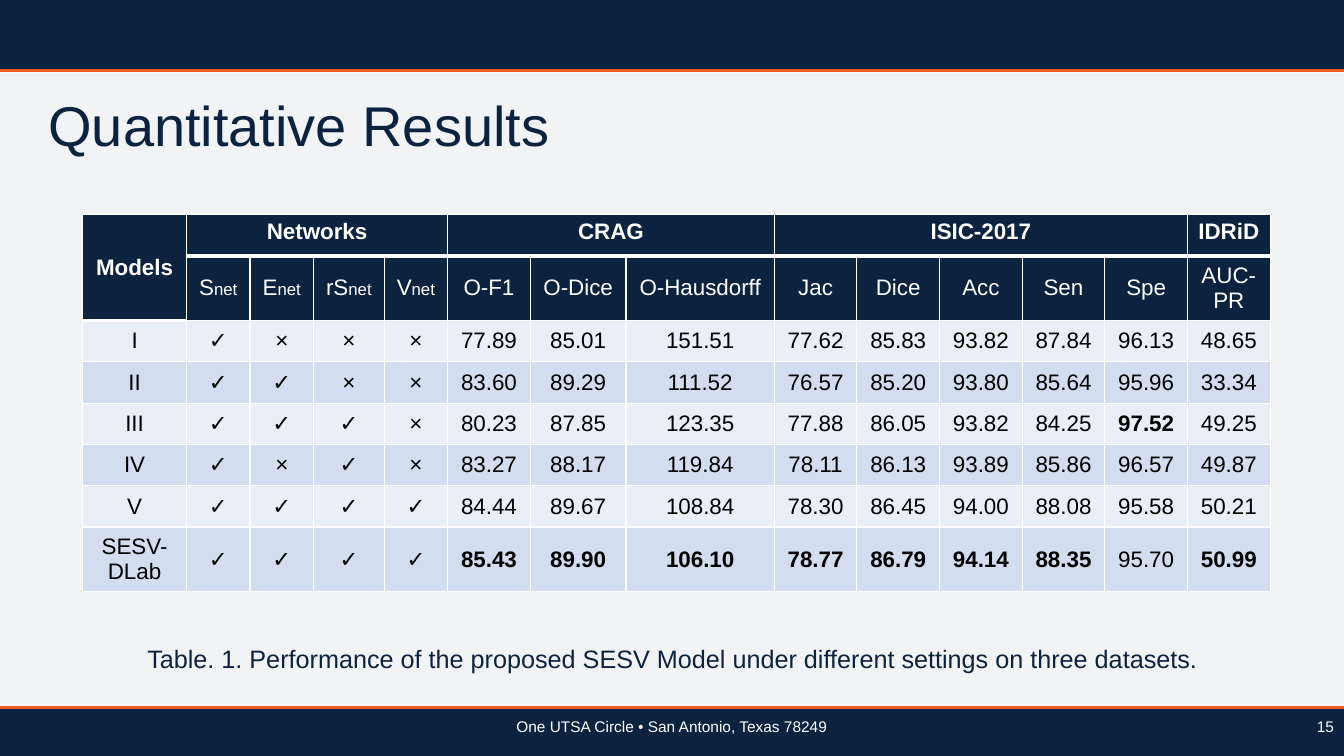
from dataclasses import dataclass
from lxml.etree import SubElement
from pptx import Presentation
from pptx.dml.color import RGBColor
from pptx.enum.shapes import MSO_CONNECTOR, MSO_SHAPE
from pptx.enum.text import MSO_ANCHOR, PP_ALIGN
from pptx.oxml.ns import qn
from pptx.util import Inches, Pt

TITLE = "Quantitative Results"
CAPTION = "Table. 1. Performance of the proposed SESV Model under different settings on three datasets."
ADDRESS = "One UTSA Circle • San Antonio, Texas 78249"
NUMBER = "15"
GROUPS = [("Models", 1), ("Networks", 4), ("CRAG", 3), ("ISIC-2017", 5), ("IDRiD", 1)]
NETWORKS = ["S", "E", "rS", "V"]
METRICS = ["O-F1", "O-Dice", "O-Hausdorff", "Jac", "Dice", "Acc", "Sen", "Spe", "AUC-PR"]
LOWER_IS_BETTER = "O-Hausdorff"
RESULTS = [
    ("I", "✓×××", "77.89 85.01 151.51 77.62 85.83 93.82 87.84 96.13 48.65"),
    ("II", "✓✓××", "83.60 89.29 111.52 76.57 85.20 93.80 85.64 95.96 33.34"),
    ("III", "✓✓✓×", "80.23 87.85 123.35 77.88 86.05 93.82 84.25 97.52 49.25"),
    ("IV", "✓×✓×", "83.27 88.17 119.84 78.11 86.13 93.89 85.86 96.57 49.87"),
    ("V", "✓✓✓✓", "84.44 89.67 108.84 78.30 86.45 94.00 88.08 95.58 50.21"),
    ("SESV-DLab", "✓✓✓✓", "85.43 89.90 106.10 78.77 86.79 94.14 88.35 95.70 50.99"),
]
COL_WIDTHS = [1.03, 0.63, 0.63, 0.7, 0.63, 0.82, 0.95, 1.47] + [0.82] * 6
ROW_HEIGHT, TALL_ROW = 0.41, 0.64
WIDTH, HEIGHT = 13.33, 7.5


@dataclass(frozen=True)
class Theme:
    font: str = "Arial"
    navy: str = "0C2340"
    title_navy: str = "0B2340"
    orange: str = "F15A22"
    white: str = "FFFFFF"
    black: str = "000000"
    bands: tuple = ("EAEFF7", "D2DEEF")
    title: int = 40
    caption: int = 18
    cell: int = 16
    suffix: int = 12
    footer: int = 11


T = Theme()


def add_run(p, text, size, color, bold=False):
    r = p.add_run()
    r.text = text
    r.font.name, r.font.size, r.font.bold = T.font, Pt(size), bold
    r.font.color.rgb = RGBColor.from_string(color)


def add_text(s, box, text, size, color, align, spacing=None):
    tf = s.shapes.add_textbox(*map(Inches, box)).text_frame
    tf.word_wrap = True
    p = tf.paragraphs[0]
    p.alignment, p.line_spacing = align, spacing
    add_run(p, text, size, color)


def add_band(s, top, height, opacity=None):
    sp = s.shapes.add_shape(MSO_SHAPE.RECTANGLE, 0, Inches(top), Inches(WIDTH), Inches(height))
    sp.shadow.inherit = False
    sp.fill.solid()
    sp.fill.fore_color.rgb = RGBColor.from_string(T.navy)
    sp.line.fill.background()
    if opacity:
        color = sp.element.spPr.find(qn("a:solidFill"))[0]
        SubElement(color, qn("a:alpha"), val=str(opacity * 1000))


def add_rule(s, y):
    line = s.shapes.add_connector(MSO_CONNECTOR.STRAIGHT, 0, Inches(y), Inches(WIDTH), Inches(y))
    line.line.color.rgb = RGBColor.from_string(T.orange)
    line.line.width = Pt(2)
    SubElement(line.element.spPr, qn("a:effectLst"))


def style_cell(cell, fill, bottom=1, anchor=MSO_ANCHOR.MIDDLE):
    cell.vertical_anchor = anchor
    tc_pr = cell._tc.get_or_add_tcPr()
    for side, width in zip("LRTB", (1, 1, 1, bottom)):
        ln = SubElement(tc_pr, qn(f"a:ln{side}"), w=str(Pt(width)))
        SubElement(SubElement(ln, qn("a:solidFill")), qn("a:srgbClr"), val=T.white)
    cell.fill.solid()
    cell.fill.fore_color.rgb = RGBColor.from_string(fill)


def write_cell(cell, text, color, bold=False, suffix=""):
    p = cell.text_frame.paragraphs[0]
    p.alignment = PP_ALIGN.CENTER
    add_run(p, text, T.cell, color, bold)
    if suffix:
        add_run(p, suffix, T.suffix, color)


def add_results_table(s):
    heights = [ROW_HEIGHT, TALL_ROW] + [ROW_HEIGHT] * (len(RESULTS) - 1) + [TALL_ROW]
    table = s.shapes.add_table(len(heights), len(COL_WIDTHS), Inches(0.82), Inches(2.13),
                               Inches(sum(COL_WIDTHS)), Inches(sum(heights))).table
    for column, width in zip(table.columns, COL_WIDTHS):
        column.width = Inches(width)
    for row, height in zip(table.rows, heights):
        row.height = Inches(height)

    for col in range(len(COL_WIDTHS)):
        style_cell(table.cell(0, col), T.navy, 3, MSO_ANCHOR.TOP if col else MSO_ANCHOR.MIDDLE)
        style_cell(table.cell(1, col), T.navy, 1 if col else 3)
    col = 0
    for name, span in GROUPS:
        write_cell(table.cell(0, col), name, T.white, bold=True)
        if span > 1:
            table.cell(0, col).merge(table.cell(0, col + span - 1))
        col += span
    table.cell(0, 0).merge(table.cell(1, 0))
    for col, name in enumerate(NETWORKS + METRICS, 1):
        write_cell(table.cell(1, col), name, T.white, suffix="net" if name in NETWORKS else "")

    scores = [values.split() for _, _, values in RESULTS]
    best = [(min if name == LOWER_IS_BETTER else max)(column, key=float)
            for name, column in zip(METRICS, zip(*scores))]
    for i, (model, marks, _) in enumerate(RESULTS):
        texts = [(text, False) for text in [model, *marks]]
        texts += [(score, score == top) for score, top in zip(scores[i], best)]
        for col, (text, bold) in enumerate(texts):
            cell = table.cell(i + 2, col)
            style_cell(cell, T.bands[i % 2])
            write_cell(cell, text, T.black, bold)


def main():
    """Build the quantitative results slide."""
    prs = Presentation()
    prs.slide_width, prs.slide_height = Inches(WIDTH), Inches(HEIGHT)
    s = prs.slides.add_slide(prs.slide_layouts[5])

    add_band(s, 0.72, 6.29, opacity=5)
    add_band(s, 7.03, 0.47)
    add_band(s, 0, 0.69)
    for y in (0.7, 7.02):
        add_rule(s, y)

    title = s.shapes.title
    title.left, title.top, title.width, title.height = map(Inches, (0.38, 0.85, 5.22, 0.77))
    tf = title.text_frame
    tf.word_wrap, tf.vertical_anchor = False, MSO_ANCHOR.TOP
    tf.paragraphs[0].alignment = PP_ALIGN.LEFT
    add_run(tf.paragraphs[0], TITLE, T.title, T.title_navy)

    add_results_table(s)
    add_text(s, (1.07, 6.33, 11.2, 0.4), CAPTION, T.caption, T.navy, PP_ALIGN.CENTER)
    add_text(s, (0.38, 7.09, 12.57, 0.41), ADDRESS, T.footer, T.white, PP_ALIGN.CENTER, 0.9)
    add_text(s, (0, 7.09, WIDTH, 0.41), NUMBER, T.footer, T.white, PP_ALIGN.RIGHT, 0.9)
    prs.save("out.pptx")


if __name__ == "__main__":
    main()
